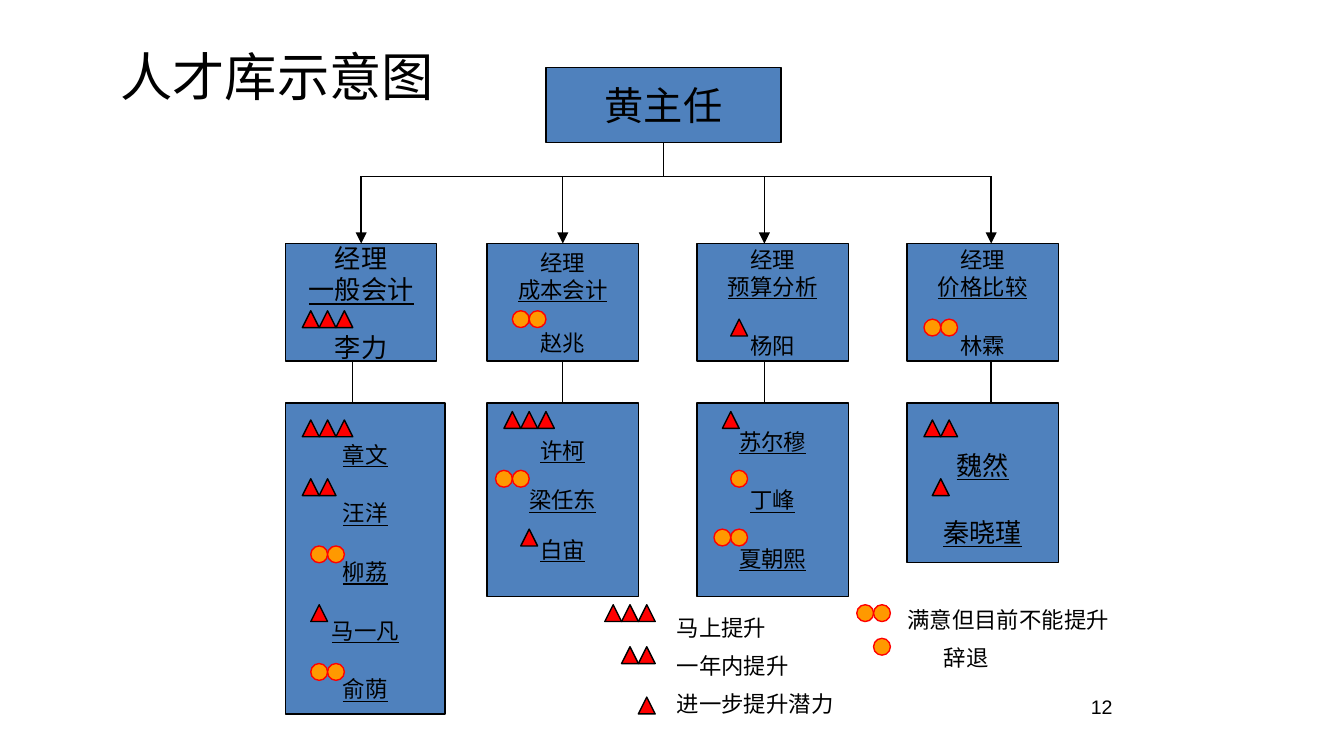
"""Build the talent pool organisation chart slide."""
from lxml import etree
from pptx import Presentation
from pptx.dml.color import RGBColor
from pptx.enum.shapes import MSO_CONNECTOR, MSO_SHAPE
from pptx.enum.text import MSO_ANCHOR, MSO_AUTO_SIZE, PP_ALIGN
from pptx.oxml.ns import qn
from pptx.util import Pt

RECT, TRIANGLE, CIRCLE = MSO_SHAPE.RECTANGLE, MSO_SHAPE.ISOSCELES_TRIANGLE, MSO_SHAPE.FLOWCHART_CONNECTOR
LEFT, CENTER, RIGHT = PP_ALIGN.LEFT, PP_ALIGN.CENTER, PP_ALIGN.RIGHT
MIDDLE = MSO_ANCHOR.MIDDLE
STRAIGHT = MSO_CONNECTOR.STRAIGHT
TOP_SITE, BOTTOM_SITE = 0, 2

BUS_Y, MANAGER_Y, MANAGER_H, TEAM_Y = 94.5, 130.5, 63, 216
COLUMN_W = 81
MARK = 9

COLUMNS = [
    dict(x=153, arrow_x=193.5, link_x=189, manager=("一般会计", "李力", 14, 14),
         team=["章文", "汪洋", "柳荔", "马一凡", "俞荫"],
         team_w=85.5, team_h=166.5, size=12, gap=17, lead=14),
    dict(x=261, arrow_x=301.5, link_x=301.5, manager=("成本会计", "赵兆", 12, 14),
         team=["许柯", "梁任东", "白宙"],
         team_w=81, team_h=103.5, size=12, gap=12, lead=0),
    dict(x=373.5, arrow_x=409.5, link_x=409.5, manager=("预算分析", "杨阳", 12, 17),
         team=["苏尔穆", "丁峰", "夏朝熙"],
         team_w=81, team_h=103.5, size=12, gap=17, lead=0),
    dict(x=486, arrow_x=531, link_x=531, manager=("价格比较", "林霖", 12, 17),
         team=["魏然", "秦晓瑾"],
         team_w=81, team_h=85.5, size=14, gap=19, lead=16.5),
]

MARKS = {
    TRIANGLE: [(162, 166.5, 3), (162, 225, 3), (162, 256.5, 2), (166.5, 324, 1),
               (270, 220.5, 3), (279, 283.5, 1), (391.5, 171, 1), (387, 220.5, 1),
               (495, 225, 2), (499.5, 256.5, 1),
               (324, 324, 3), (333, 346.5, 2), (342, 373.5, 1)],
    CIRCLE: [(274.5, 166.5, 2), (495, 171, 2), (391.5, 252, 1), (382.5, 283.5, 2),
             (265.5, 252, 2), (166.5, 292.5, 2), (166.5, 355.5, 2),
             (459, 324, 2), (468, 342, 1)],
}


def rgb(value):
    """Turn a hex string into a colour."""
    return RGBColor.from_string(value)


class Deck:
    """Holds the style and the current slide."""

    font, ink, box_fill = "Arial", "000000", "4F81BD"
    mark_colors = {TRIANGLE: ("FF0000", "000000"), CIRCLE: ("FF9900", "FF0000")}

    def __init__(self, slide):
        """Keep the slide to draw on."""
        self.s = slide

    def set_lines(self, tf, lines, size, align):
        """Fill a frame with (text, underline, space before) lines."""
        tf.text = "\n".join(text for text, _, _ in lines)
        for p, (_, underline, before) in zip(tf.paragraphs, lines):
            p.alignment = align
            p.space_before = Pt(before)
            for r in p.runs:
                r.font.name = self.font
                r.font.size = Pt(size)
                r.font.color.rgb = rgb(self.ink)
                r.font.underline = underline

    def title(self, text, x, y, w, h, size):
        """Place the title placeholder."""
        sp = self.s.shapes.title
        sp.left, sp.top, sp.width, sp.height = Pt(x), Pt(y), Pt(w), Pt(h)
        self.set_lines(sp.text_frame, [(text, False, 0)], size, CENTER)
        sp.text_frame.auto_size = MSO_AUTO_SIZE.NONE
        sp.text_frame.vertical_anchor = MIDDLE

    def text(self, lines, x, y, w, h, size, align=LEFT):
        """Add a text box."""
        tf = self.s.shapes.add_textbox(Pt(x), Pt(y), Pt(w), Pt(h)).text_frame
        tf.word_wrap = True
        self.set_lines(tf, lines, size, align)
        return tf

    def shape(self, kind, x, y, w, h, fill, line):
        """Add a filled and outlined shape."""
        sp = self.s.shapes.add_shape(kind, Pt(x), Pt(y), Pt(w), Pt(h))
        sp.shadow.inherit = False
        sp.fill.solid()
        sp.fill.fore_color.rgb = rgb(fill)
        sp.line.color.rgb = rgb(line)
        sp.line.width = Pt(0.75)
        return sp

    def box(self, lines, x, y, w, h, size, lead=0):
        """Add a chart box with centred lines."""
        sp = self.shape(RECT, x, y, w, h, self.box_fill, self.ink)
        tf = sp.text_frame
        tf.word_wrap = False
        tf.vertical_anchor = MIDDLE
        tf.margin_top = Pt(3.6 + lead)
        self.set_lines(tf, lines, size, CENTER)
        return sp

    def marks(self, kind, x, y, count):
        """Add a row of rating marks."""
        for i in range(count):
            self.shape(kind, x + i * MARK, y, MARK, MARK, *self.mark_colors[kind])

    def line(self, x1, y1, x2, y2, above=None, below=None, arrow=False):
        """Add a line, joined to boxes whose side middle it meets."""
        cn = self.s.shapes.add_connector(STRAIGHT, Pt(x1), Pt(y1), Pt(x2), Pt(y2))
        cn.line.color.rgb = rgb(self.ink)
        cn.line.width = Pt(0.75)
        if arrow:
            etree.SubElement(cn.line._get_or_add_ln(), qn("a:tailEnd"), type="triangle")
        etree.SubElement(cn._element.spPr, qn("a:effectLst"))
        if above and above.left + above.width // 2 == Pt(x1):
            cn.begin_connect(above, BOTTOM_SITE)
        if below and below.left + below.width // 2 == Pt(x2):
            cn.end_connect(below, TOP_SITE)


def main():
    """Draw the slide and save it."""
    prs = Presentation()
    prs.slide_width, prs.slide_height = Pt(720), Pt(405)
    deck = Deck(prs.slides.add_slide(prs.slide_layouts[5]))

    deck.title("人才库示意图", 36, 16.5, 225, 47.5, 28)
    deck.text([("12", False, 0)], 477, 369, 126, 28, 10.5, RIGHT)
    boss = deck.box([("黄主任", False, 0)], 292.5, 36, 126, 40.5, 21)
    deck.line(355.5, 76.5, 355.5, BUS_Y, above=boss)
    deck.line(COLUMNS[0]["arrow_x"], BUS_Y, COLUMNS[-1]["arrow_x"], BUS_Y)

    for col in COLUMNS:
        dept, name, size, gap = col["manager"]
        manager = deck.box([("经理", False, 0), (dept, True, 0), (name, False, gap)],
                           col["x"], MANAGER_Y, COLUMN_W, MANAGER_H, size)
        members = [(member, True, col["gap"] if i else 0) for i, member in enumerate(col["team"])]
        team = deck.box(members, col["x"], TEAM_Y, col["team_w"], col["team_h"],
                        col["size"], col["lead"])
        deck.line(col["arrow_x"], BUS_Y, col["arrow_x"], MANAGER_Y, below=manager, arrow=True)
        deck.line(col["link_x"], MANAGER_Y + MANAGER_H, col["link_x"], TEAM_Y, manager, team)

    for kind, rows in MARKS.items():
        for row in rows:
            deck.marks(kind, *row)

    deck.text([("马上提升", False, 0), ("一年内提升", False, 6), ("进一步提升潜力", False, 6)],
              355.5, 325.5, 126, 65.5, 12)
    tf = deck.text([("满意但目前不能提升", False, 0), ("辞退", False, 6)], 477, 321, 140, 43, 12)
    for p, indent in zip(tf.paragraphs, (2, 21.5)):
        p._p.get_or_add_pPr().set("marL", str(Pt(indent)))

    prs.save("out.pptx")


if __name__ == "__main__":
    main()
